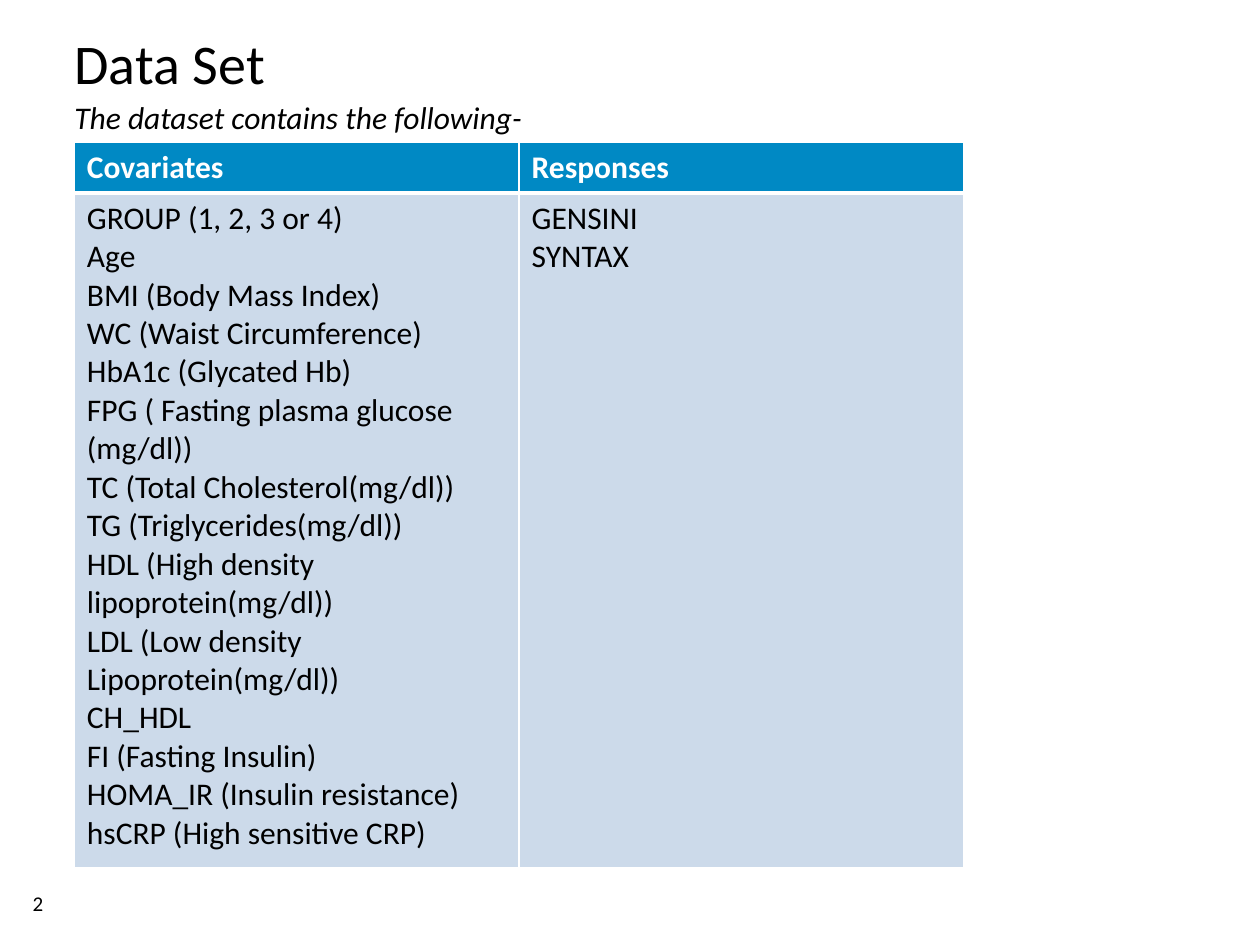
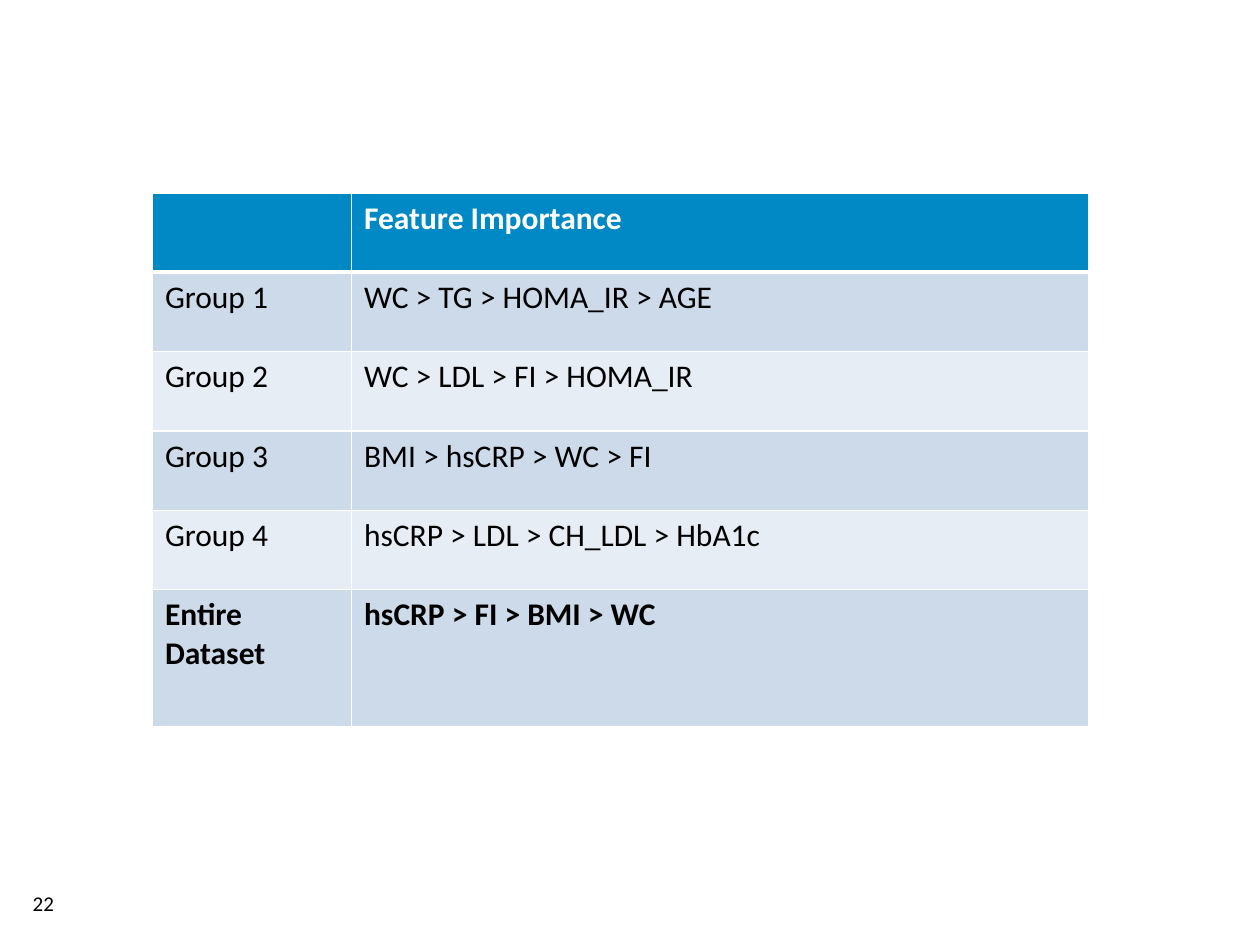
from dataclasses import dataclass

from lxml.etree import SubElement
from pptx import Presentation
from pptx.dml.color import RGBColor as RGB
from pptx.oxml.ns import qn
from pptx.util import Inches, Pt

COVARIATES = [
    "GROUP (1, 2, 3 or 4)",
    "Age",
    "BMI (Body Mass Index)",
    "WC (Waist Circumference)",
    "HbA1c (Glycated Hb)",
    "FPG ( Fasting plasma glucose (mg/dl))",
    "TC (Total Cholesterol(mg/dl))",
    "TG (Triglycerides(mg/dl))",
    "HDL (High density lipoprotein(mg/dl))",
    "LDL (Low density Lipoprotein(mg/dl))",
    "CH_HDL",
    "FI (Fasting Insulin)",
    "HOMA_IR (Insulin resistance)",
    "hsCRP (High sensitive CRP)",
]
RESPONSES = ["GENSINI", "SYNTAX"]

# Each cell is a list of paragraphs.
DATA_SET = {
    "pos": (0.59, 1.13),
    "cols": [3.53, 3.53],
    "heights": [0.39, 5.36],
    "rows": [[["Covariates"], ["Responses"]], [COVARIATES, RESPONSES]],
    "bold_rows": {0},
}
IMPORTANCE = {
    "pos": (1.21, 1.53),
    "cols": [1.58, 5.85],
    "heights": [0.63] * 5 + [1.09],
    "rows": [
        [[], ["Feature Importance"]],
        [["Group 1"], ["WC > TG > HOMA_IR > AGE"]],
        [["Group 2"], ["WC > LDL > FI > HOMA_IR"]],
        [["Group 3"], ["BMI > hsCRP > WC > FI"]],
        [["Group 4"], ["hsCRP > LDL > CH_LDL > HbA1c"]],
        [["Entire Dataset"], ["hsCRP > FI > BMI > WC"]],
    ],
    "bold_rows": {0, 5},
}
SLIDES = [
    {
        "number": "2",
        "title": "Data Set",
        "subtitle": "The dataset contains the following-",
        "table": DATA_SET,
    },
    {"number": "22", "table": IMPORTANCE},
]


@dataclass(frozen=True)
class Theme:
    font: str = "Calibri"
    text: str = "000000"
    white: str = "FFFFFF"
    header: str = "0089C4"
    bands: tuple = ("CCDAEA", "E7EDF5")
    title: int = 32
    body: int = 18
    number: int = 12
    rule: int = 1
    header_rule: int = 3


THEME = Theme()

# Box and text format of every text part a slide may have.
TEXT_PARTS = {
    "number": ((0.26, 7.07, 0.56, 0.2), {"size": Pt(THEME.number)}),
    "title": ((0.59, 0.23, 8.82, 1.1), {"size": Pt(THEME.title)}),
    "subtitle": ((0.59, 0.78, 8.82, 5.05), {"size": Pt(THEME.body), "italic": True}),
}


def write(tf, lines, color=THEME.text, **formats):
    for i, line in enumerate(lines):
        p = tf.add_paragraph() if i else tf.paragraphs[0]
        r = p.add_run()
        r.text = line
        r.font.color.rgb = RGB.from_string(color)
        for name, value in {"name": THEME.font, **formats}.items():
            setattr(r.font, name, value)


def add_text(s, box, line, formats):
    tf = s.shapes.add_textbox(*map(Inches, box)).text_frame
    tf.word_wrap = True
    for side in ("left", "top", "right", "bottom"):
        setattr(tf, f"margin_{side}", 0)
    write(tf, [line], **formats)


def set_borders(cell, top, bottom):
    """Draw white cell borders; must run before the cell fill is set."""
    tc_pr = cell._tc.get_or_add_tcPr()
    widths = {"lnL": THEME.rule, "lnR": THEME.rule, "lnT": top, "lnB": bottom}
    for tag, width in widths.items():
        ln = SubElement(tc_pr, qn(f"a:{tag}"), w=str(Pt(width)))
        fill = SubElement(ln, qn("a:solidFill"))
        SubElement(fill, qn("a:srgbClr"), val=THEME.white)


def add_table(s, pos, cols, heights, rows, bold_rows):
    size = sum(cols), sum(heights)
    table = s.shapes.add_table(
        len(rows), len(cols), *map(Inches, (*pos, *size))
    ).table
    for column, width in zip(table.columns, cols):
        column.width = Inches(width)
    for i, (row, height) in enumerate(zip(rows, heights)):
        table.rows[i].height = Inches(height)
        is_header = i == 0
        fill = THEME.header if is_header else THEME.bands[(i - 1) % 2]
        color = THEME.white if is_header else THEME.text
        top = THEME.header_rule if i == 1 else THEME.rule
        bottom = THEME.header_rule if is_header else THEME.rule
        for j, lines in enumerate(row):
            cell = table.cell(i, j)
            set_borders(cell, top, bottom)
            cell.fill.solid()
            cell.fill.fore_color.rgb = RGB.from_string(fill)
            write(cell.text_frame, lines, color,
                  size=Pt(THEME.body), bold=i in bold_rows)


def main():
    prs = Presentation()
    prs.slide_width, prs.slide_height = Inches(10), Inches(7.5)
    for content in SLIDES:
        s = prs.slides.add_slide(prs.slide_layouts[6])
        for part, (box, formats) in TEXT_PARTS.items():
            if part in content:
                add_text(s, box, content[part], formats)
        add_table(s, **content["table"])
    prs.save("out.pptx")


if __name__ == "__main__":
    main()
